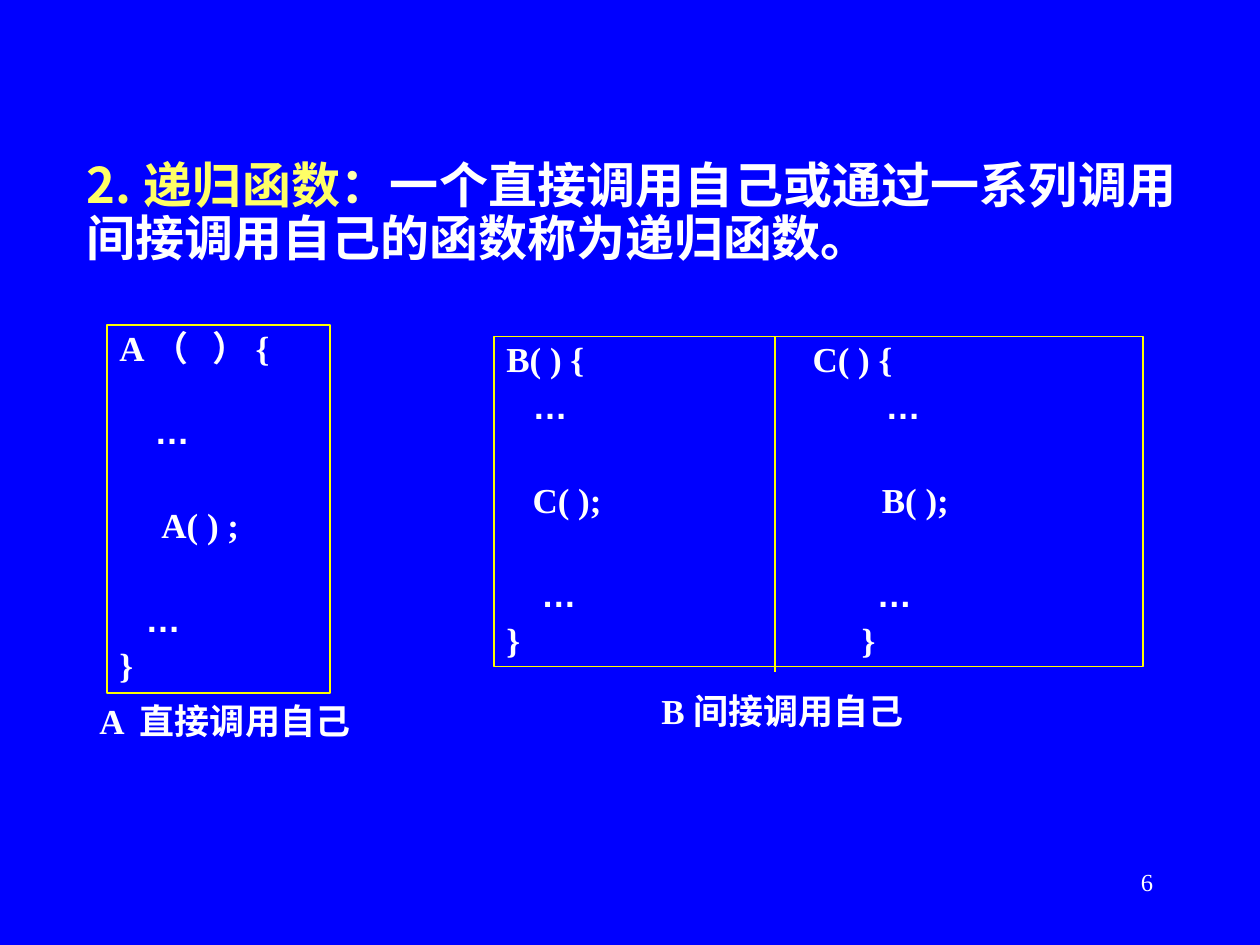
"""Build a slide that defines recursive functions and shows direct and indirect calls."""
from typing import NamedTuple

from lxml import etree
from pptx import Presentation
from pptx import util as u
from pptx.dml.color import RGBColor
from pptx.enum import shapes, text
from pptx.oxml import ns

WHITE, YELLOW = "FFFFFF", "FFFF00"
SERIF, SANS, CHINESE = "Times New Roman", "Arial", "Noto Sans CJK SC"


class Line(NamedTuple):
    code: str
    before: float = 0
    font: str = SERIF
    tab: float = 0


class Listing(NamedTuple):
    left: float
    top: float
    width: float
    height: float
    lines: list[Line]


class Caption(NamedTuple):
    left: float
    top: float
    width: float
    words: str


LISTINGS = [
    Listing(0.85, 2.58, 1.77, 2.92, [
        Line("A（   ）{"),
        Line("    …", 26, SANS),
        Line("     A( ) ;", 32),
        Line("   …", 32, SANS),
        Line("}", 5),
    ]),
    Listing(3.92, 2.67, 5.15, 2.62, [
        Line("B( ) {\tC( ) {", tab=2.43),
        Line("   …\t…", 5, SANS, 3.01),
        Line("   C( );\tB( );", 32, tab=2.98),
        Line("    …\t…", 32, SANS, 2.94),
        Line("}\t}", 5, tab=2.82),
    ]),
]
CAPTIONS = [
    Caption(0.69, 5.5, 2.61, "A 直接调用自己"),
    Caption(5.15, 5.42, 4.38, "B间接调用自己"),
]


def colour(value: str) -> RGBColor:
    """Turn a hex string into a colour."""
    return RGBColor.from_string(value)


def add_span(para, words: str, *, size: float = 20, font: str = SERIF,
             fill: str = WHITE, bold: bool = True) -> None:
    """Append formatted text to a paragraph."""
    span = para.add_run()
    span.text = words
    span.font.size, span.font.bold, span.font.name = u.Pt(size), bold, font
    span.font.color.rgb = colour(fill)
    etree.SubElement(span._r.get_or_add_rPr(), ns.qn("a:ea"), typeface=CHINESE)


def add_tab(para, position: float) -> None:
    """Give a paragraph one left tab stop."""
    stops = etree.SubElement(para._p.get_or_add_pPr(), ns.qn("a:tabLst"))
    etree.SubElement(stops, ns.qn("a:tab"), pos=str(u.Inches(position)), algn="l")


def add_listing(page, listing: Listing) -> None:
    """Draw an outlined box of code."""
    box = page.shapes.add_shape(shapes.MSO_SHAPE.RECTANGLE,
                                *map(u.Inches, listing[:4]))
    box.shadow.inherit = False
    box.fill.background()
    box.line.color.rgb, box.line.width = colour(YELLOW), u.Pt(1)
    frame = box.text_frame
    frame.word_wrap, frame.vertical_anchor = True, text.MSO_ANCHOR.TOP
    for number, line in enumerate(listing.lines):
        para = frame.add_paragraph() if number else frame.paragraphs[0]
        para.alignment, para.line_spacing = text.PP_ALIGN.LEFT, 0.9
        para.space_before = u.Pt(line.before)
        if line.tab:
            add_tab(para, line.tab)
        code = line.code.lstrip()
        indent = line.code[:len(line.code) - len(code)]
        if indent:
            add_span(para, indent)
        add_span(para, code, font=line.font)


def add_label(page, left: float, top: float, width: float, height: float,
              words: str, *, align=text.PP_ALIGN.LEFT, **style) -> None:
    """Add a one-line text box."""
    box = page.shapes.add_textbox(*map(u.Inches, (left, top, width, height)))
    box.text_frame.word_wrap = True
    para = box.text_frame.paragraphs[0]
    para.alignment = align
    add_span(para, words, **style)


def add_divider(page, x: float, top: float, bottom: float) -> None:
    """Draw the upright line between the two functions."""
    line = page.shapes.add_connector(shapes.MSO_CONNECTOR.STRAIGHT,
                                     *map(u.Inches, (x, top, x, bottom)))
    line.line.color.rgb, line.line.width = colour(YELLOW), u.Pt(1)
    etree.SubElement(line._element.spPr, ns.qn("a:effectLst"))


def fill_title(title) -> None:
    """Place the definition in the title placeholder."""
    title.left, title.top, title.width, title.height = map(
        u.Inches, (0.59, 1.23, 8.85, 0.94))
    frame = title.text_frame
    frame.word_wrap, frame.auto_size = True, text.MSO_AUTO_SIZE.NONE
    frame.vertical_anchor = text.MSO_ANCHOR.TOP
    para = frame.paragraphs[0]
    para.alignment, para.line_spacing = text.PP_ALIGN.JUSTIFY, 0.9
    para.space_before = u.Pt(0)
    for words, fill in (
        ("2.递归函数", "FFFF66"),
        ("：", "FFFFAF"),
        ("一个直接调用自己或通过一系列调用间接调用自己的函数称为递归函数。", WHITE),
    ):
        add_span(para, words, size=28, font=CHINESE, fill=fill)


def main() -> None:
    """Build and save the deck."""
    deck = Presentation()
    deck.slide_width, deck.slide_height = u.Inches(10), u.Inches(7.5)
    page = deck.slides.add_slide(deck.slide_layouts.get_by_name("Title Only"))
    page.background.fill.solid()
    page.background.fill.fore_color.rgb = colour("0000FF")
    fill_title(page.shapes.title)
    for listing in LISTINGS:
        add_listing(page, listing)
    for caption in CAPTIONS:
        add_label(page, *caption[:3], 0.44, caption.words)
    add_divider(page, 6.15, 2.67, 5.33)
    add_label(page, 7.17, 6.83, 2.08, 0.5, "6",
              align=text.PP_ALIGN.RIGHT, size=14, bold=False)
    deck.save("out.pptx")


if __name__ == "__main__":
    main()
